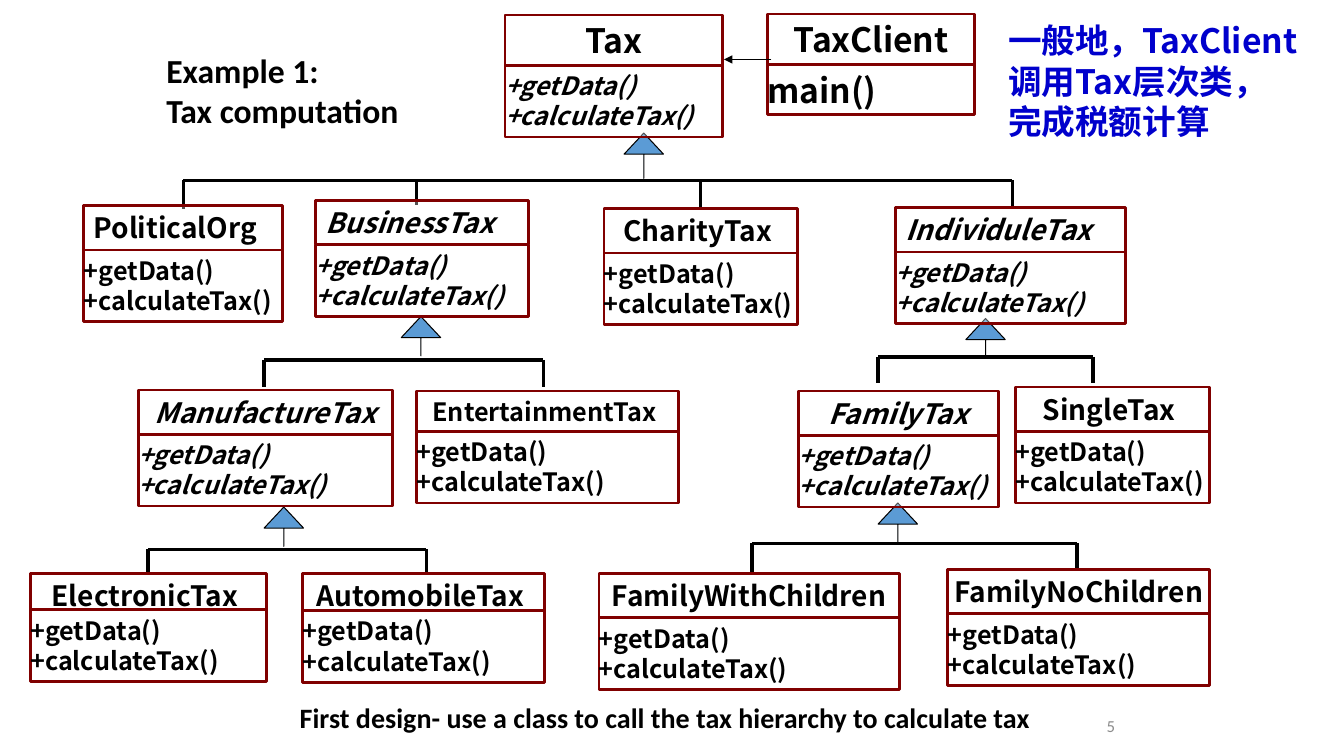
from lxml import etree
from pptx import Presentation
from pptx.dml.color import RGBColor
from pptx.enum.shapes import MSO_CONNECTOR as LineKind, MSO_SHAPE as Shape
from pptx.enum.text import MSO_ANCHOR as Anchor, MSO_AUTO_SIZE as AutoSize, PP_ALIGN as Align
from pptx.oxml.ns import qn
from pptx.util import Inches, Pt

BLACK = RGBColor(0x00, 0x00, 0x00)
WHITE = RGBColor(0xFF, 0xFF, 0xFF)
MAROON = RGBColor(0x80, 0x00, 0x00)
BLUE = RGBColor(0x00, 0x00, 0xCC)
ARROW_BLUE = RGBColor(0x5B, 0x9B, 0xD5)
GREY = RGBColor(0x8C, 0x8C, 0x8C)
SANS, CJK = "Calibri", "Noto Sans CJK SC"

TITLE = ["Example 1:", "Tax computation"]
REMARK = ["一般地，TaxClient", "调用Tax层次类，", "完成税额计算"]
CAPTION = ["First design- use a class to call the tax hierarchy to calculate tax "]
METHODS = ["+getData()", "+calculateTax()"]
MAIN = ["main()"]

# name, left, top, width, name height, name size, abstract, centred, methods
CLASSES = [
    ("Tax", 5.01, 0.15, 2.16, 0.5, 24, False, True, METHODS),
    ("TaxClient", 7.61, 0.14, 2.06, 0.5, 24, False, True, MAIN),
    ("PoliticalOrg", 0.83, 2.04, 1.97, 0.44, 20, False, False, METHODS),
    ("BusinessTax", 3.13, 1.99, 2.11, 0.44, 20, True, False, METHODS),
    ("CharityTax ", 5.99, 2.07, 1.92, 0.44, 20, False, True, METHODS),
    ("IndividuleTax", 8.88, 2.06, 2.28, 0.44, 20, True, False, METHODS),
    ("ManufactureTax", 1.37, 3.87, 2.52, 0.44, 20, True, True, METHODS),
    ("EntertainmentTax ", 4.13, 3.88, 2.6, 0.4, 18, False, True, METHODS),
    ("FamilyTax", 7.92, 3.88, 1.98, 0.44, 20, True, True, METHODS),
    ("SingleTax ", 10.07, 3.84, 1.93, 0.44, 20, False, True, METHODS),
    ("ElectronicTax ", 0.3, 5.69, 2.34, 0.36, 20, False, True, METHODS),
    ("AutomobileTax ", 3.0, 5.69, 2.4, 0.37, 20, False, True, METHODS),
    ("FamilyWithChildren", 5.94, 5.69, 2.98, 0.44, 20, False, True, METHODS),
    ("FamilyNoChildren", 9.4, 5.65, 2.6, 0.44, 20, False, True, METHODS),
]
ABSTRACT_METHODS = {"Tax"}  # upright name, slanted methods

# bar height, arrow (left, top, height), drops (x, bottom)
BRANCHES = [
    (1.79, (6.19, 1.32, 0.45), [(1.82, 2.07), (4.13, 2.03), (6.95, 2.07), (10.04, 2.07)]),
    (3.57, (3.98, 3.14, 0.39), [(2.62, 3.84), (5.39, 3.84)]),
    (3.54, (9.58, 3.16, 0.39), [(8.71, 3.8), (10.84, 3.8)]),
    (5.45, (2.62, 5.03, 0.39), [(1.47, 5.72), (4.23, 5.72)]),
    (5.39, (8.71, 4.99, 0.39), [(7.46, 5.69), (10.68, 5.65)]),
]


def write(shape, lines, size, font, color=BLACK, bold=True, italic=False,
          align=Align.LEFT, side=0.1, anchor=Anchor.TOP):
    frame = shape.text_frame
    settings = dict(word_wrap=True, auto_size=AutoSize.NONE, vertical_anchor=anchor,
                    margin_left=Inches(side), margin_right=Inches(side),
                    margin_top=Inches(0.05), margin_bottom=Inches(0.05))
    for name, value in settings.items():
        setattr(frame, name, value)
    for index, line in enumerate(lines):
        para = frame.add_paragraph() if index else frame.paragraphs[0]
        para.alignment = align
        span = para.add_run()
        span.text = line
        for name, value in dict(name=font, size=Pt(size), bold=bold, italic=italic).items():
            setattr(span.font, name, value)
        span.font.color.rgb = color
        east_asian = etree.SubElement(span.font._element, qn("a:ea"))
        east_asian.set("typeface", font)


def add_shape(page, kind, place, fill, line, width):
    shape = page.shapes.add_shape(kind, *map(Inches, place))
    shape.shadow.inherit = False
    shape.fill.solid()
    shape.fill.fore_color.rgb = fill
    shape.line.color.rgb = line
    shape.line.width = Pt(width)
    return shape


def add_line(page, start, end, width=2.5):
    line = page.shapes.add_connector(LineKind.STRAIGHT, *map(Inches, start + end))
    line.line.color.rgb = BLACK
    line.line.width = Pt(width)
    etree.SubElement(line._element.spPr, qn("a:effectLst"))
    return line


def add_class(page, name, left, top, width, height, size, abstract, centred, methods):
    body_height = 0.71 if len(methods) > 1 else 0.5
    name_box = (left, top, width, 0.44 if height < 0.4 else height)
    body_box = (left, top + height, width, body_height)
    name_style = dict(size=size, italic=abstract, side=0 if centred else 0.1,
                      align=Align.CENTER if centred else Align.LEFT)
    body_style = dict(size=18 if len(methods) > 1 else 24, side=0,
                      italic=abstract or name in ABSTRACT_METHODS)
    for place, lines, style in [(name_box, [name], name_style), (body_box, methods, body_style)]:
        box = add_shape(page, Shape.RECTANGLE, place, WHITE, MAROON, 2)
        if height >= 0.4:  # names overlapped by their methods stay opaque
            tint = box._element.spPr.find(qn("a:solidFill"))[0]
            etree.SubElement(tint, qn("a:alpha")).set("val", "32000")
        write(box, lines, font=CJK, **style)


def add_branch(page, bar, arrow, drops):
    add_line(page, (drops[0][0], bar), (drops[-1][0], bar))
    for x, bottom in drops:
        add_line(page, (x, bar), (x, bottom))
    left, top, height = arrow
    head = add_shape(page, Shape.UP_ARROW, (left, top, 0.39, height), ARROW_BLUE, BLACK, 0.75)
    head.adjustments[0] = 0
    head.adjustments[1] = 0.535


def add_text(page, place, lines, size, font, **style):
    write(page.shapes.add_textbox(*map(Inches, place)), lines, size, font, **style)


def main():
    deck = Presentation()
    deck.slide_width, deck.slide_height = Inches(13.33), Inches(7.5)
    page = deck.slides.add_slide(deck.slide_layouts[5])
    title = page.shapes.title
    title.left, title.top, title.width, title.height = map(Inches, (1.55, 0.44, 2.91, 0.91))
    write(title, TITLE, 24, SANS)

    for branch in BRANCHES:
        add_branch(page, *branch)
    for entry in CLASSES:
        add_class(page, *entry)
    call = add_line(page, (7.65, 0.59), (7.18, 0.59), 0.75)
    etree.SubElement(call.line._get_or_add_ln(), qn("a:tailEnd")).set("type", "triangle")

    add_text(page, (9.9, 0.15, 3.13, 1.31), REMARK, 24, CJK, color=BLUE)
    add_text(page, (1.78, 6.9, 9.69, 0.44), CAPTION, 20, SANS, align=Align.CENTER)
    add_text(page, (8.83, 6.94, 2.33, 0.52), ["5"], 12, SANS, color=GREY, bold=False,
             align=Align.RIGHT, anchor=Anchor.MIDDLE)
    deck.save("out.pptx")


if __name__ == "__main__":
    main()
